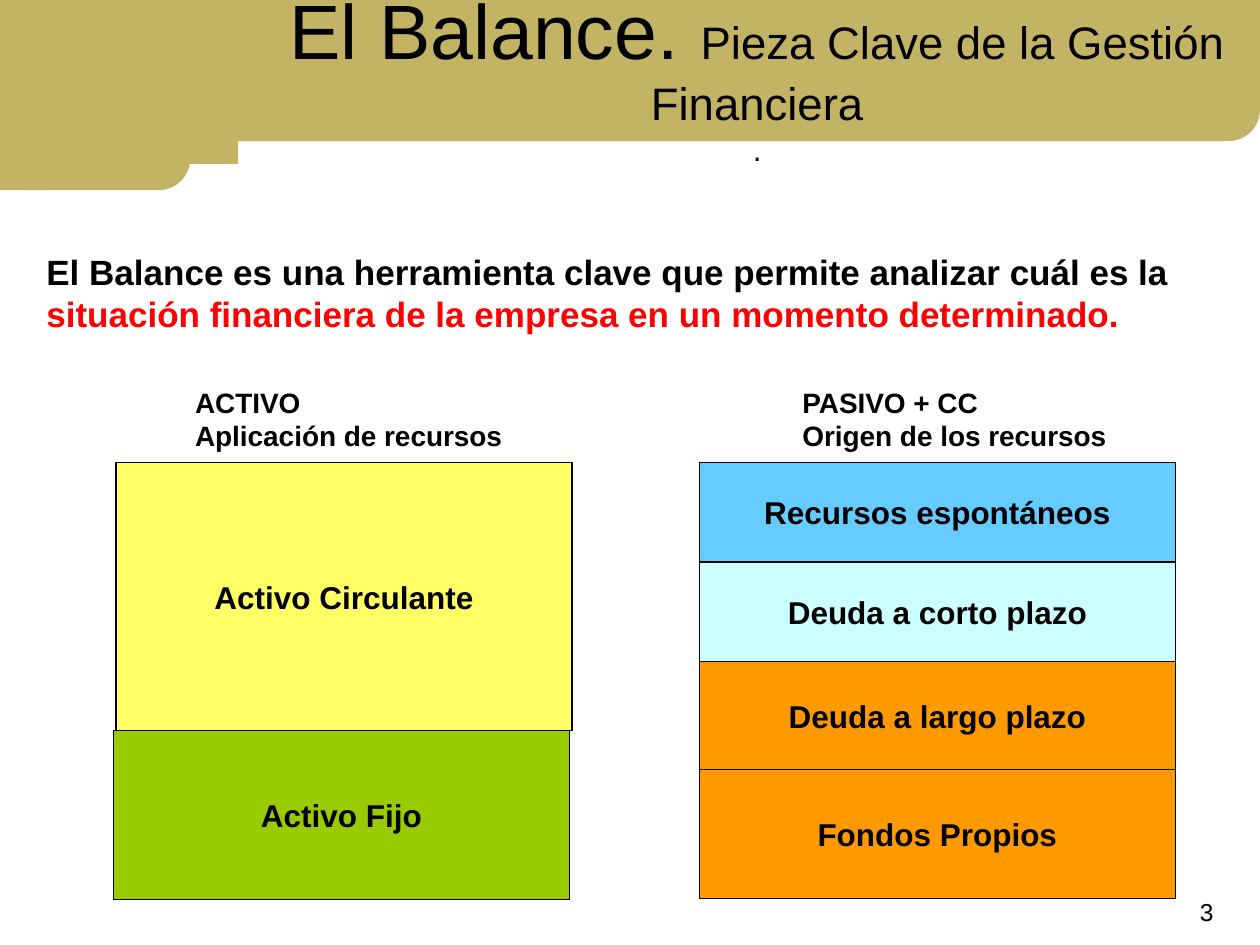
import pptx
import pptx.util
import pptx.dml.color
import pptx.enum.shapes
import pptx.enum.text

SHAPE = pptx.enum.shapes.MSO_SHAPE
ALIGN = pptx.enum.text.PP_ALIGN
ANCHOR = pptx.enum.text.MSO_ANCHOR
COLS, ROWS = 100, 75
COLORS = {
    "gold": "C3B365", "black": "000000", "red": "FF0000",
    "blue": "66CCFF", "pale": "CCFFFF", "orange": "FF9900",
    "yellow": "FFFF66", "green": "99CC00",
}


def tint(name):
    return pptx.dml.color.RGBColor.from_string(COLORS[name])


def write(para, text, size=18, bold=False, color="black", font="Arial"):
    """Add one run; a line end in the text becomes a line break."""
    for i, line in enumerate(text.split("\n")):
        if i:
            para.add_line_break()
        if line:
            run = para.add_run()
            run.text = line
            run.font.name = font
            run.font.size = pptx.util.Pt(size)
            run.font.bold = bold
            run.font.color.rgb = tint(color)


class Deck:
    """Places elements on a grid of 100 columns by 75 rows."""

    def __init__(self):
        self.file = pptx.Presentation()
        self.file.slide_width = pptx.util.Inches(10)
        self.file.slide_height = pptx.util.Inches(7.5)
        self.slide = self.file.slides.add_slide(self.file.slide_layouts[6])

    def place(self, x, y, w, h):
        col = self.file.slide_width / COLS
        row = self.file.slide_height / ROWS
        return [round(v) for v in (x * col, y * row, w * col, h * row)]

    def panel(self, area, fill, round_by=None, edge=False):
        kind = SHAPE.RECTANGLE if round_by is None else SHAPE.ROUNDED_RECTANGLE
        shape = self.slide.shapes.add_shape(kind, *self.place(*area))
        shape.shadow.inherit = False
        if round_by is not None:
            shape.adjustments[0] = round_by
        shape.fill.solid()
        shape.fill.fore_color.rgb = tint(fill)
        if edge:
            shape.line.color.rgb = tint("black")
            shape.line.width = pptx.util.Pt(0.75)
        else:
            shape.line.fill.background()
        return shape

    def block(self, area, fill, text):
        frame = self.panel(area, fill, edge=True).text_frame
        frame.word_wrap = False
        frame.vertical_anchor = ANCHOR.MIDDLE
        para = frame.paragraphs[0]
        para.alignment = ALIGN.CENTER
        write(para, text, bold=True)

    def stack(self, x, y, w, parts):
        """Pile labelled blocks downwards from row y."""
        for height, fill, text in parts:
            self.block((x, y, w, height), fill, text)
            y += height

    def text(self, area, *paras, align=ALIGN.LEFT, anchor=ANCHOR.TOP):
        """Each paragraph is a list of (text, format) runs."""
        frame = self.slide.shapes.add_textbox(*self.place(*area)).text_frame
        frame.word_wrap = True
        frame.vertical_anchor = anchor
        for i, runs in enumerate(paras):
            para = frame.add_paragraph() if i else frame.paragraphs[0]
            para.alignment = align
            for words, style in runs:
                write(para, words, **style)


def main():
    deck = Deck()

    # Gold header: band, corner tab and the patches that square their corners
    deck.panel((0, 0, 100, 11.2), "gold", round_by=0.223)
    deck.panel((0, 0, 15.1, 15.1), "gold", round_by=0.167)
    for area in [(14.3, 11.1, 4.6, 1.9), (93.8, 0, 6.2, 5.1),
                 (0, 12.6, 3.5, 2.5), (0, 0, 2.1, 2.5)]:
        deck.panel(area, "gold")

    # Title
    deck.text((15.1, 0, 90, 11.9),
              [("El Balance. ", {"size": 44}),
               ("Pieza Clave de la Gestión Financiera\n", {"size": 26}),
               (".", {"size": 18})],
              align=ALIGN.CENTER, anchor=ANCHOR.MIDDLE)

    # Lead sentence
    lead = {"size": 20, "bold": True}
    deck.text((2.7, 19.4, 92.4, 7.7),
              [("El Balance es una herramienta clave que permite analizar cuál es la ", lead),
               ("situación financiera de la empresa en un momento determinado.",
                {**lead, "color": "red"})])

    # Column headings, with room to spare on the right
    head = {"size": 16, "bold": True}
    for x, lines in [(14.5, ("ACTIVO", "Aplicación de recursos")),
                     (62.7, ("PASIVO + CC", "Origen de los recursos"))]:
        deck.text((x, 30.1, 28, 6.4), *[[(line, head)] for line in lines])

    # Liabilities and equity
    top = 36.7
    deck.stack(55.5, top, 37.8, [
        (7.9, "blue", "Recursos espontáneos"),
        (7.9, "pale", "Deuda a corto plazo"),
        (8.6, "orange", "Deuda a largo plazo"),
        (10.2, "orange", "Fondos Propios"),
    ])

    # Assets
    deck.block((9.2, top, 36.2, 21.3), "yellow", "Activo Circulante")
    deck.block((9, top + 21.3, 36.2, 13.4), "green", "Activo Fijo")

    # Page number
    deck.text((74, 70.7, 23.3, 4.3), [("3", {"size": 14})], align=ALIGN.RIGHT)

    deck.file.save("out.pptx")


if __name__ == "__main__":
    main()
